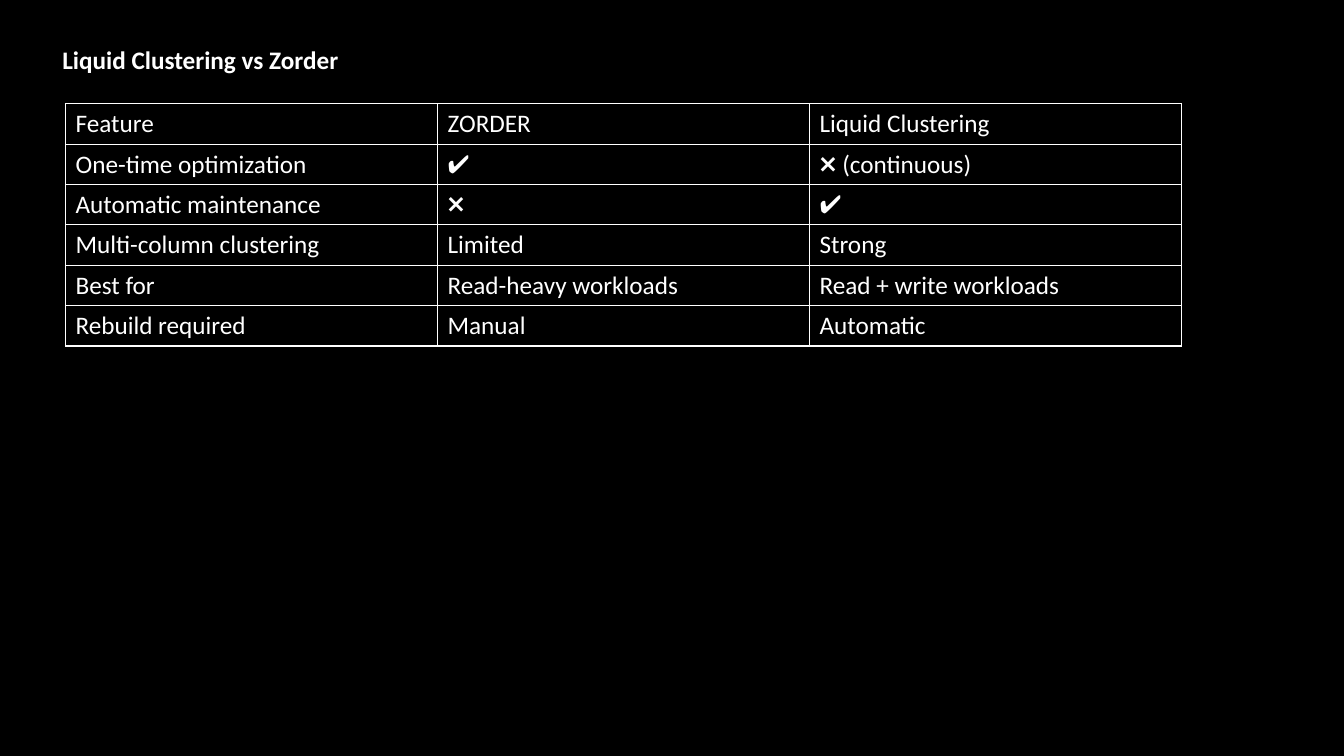
from lxml import etree
from pptx import Presentation
from pptx.dml.color import RGBColor
from pptx.enum.text import MSO_ANCHOR, MSO_AUTO_SIZE
from pptx.oxml import parse_xml
from pptx.oxml.ns import nsdecls
from pptx.util import Inches, Pt

BLACK = RGBColor(0x00, 0x00, 0x00)
WHITE = RGBColor(0xFF, 0xFF, 0xFF)

COMPARISON = [
    ("Feature", "ZORDER", "Liquid Clustering"),
    ("One-time optimization", "✔", "❌ (continuous)"),
    ("Automatic maintenance", "❌", "✔"),
    ("Multi-column clustering", "Limited", "Strong"),
    ("Best for", "Read-heavy workloads", "Read + write workloads"),
    ("Rebuild required", "Manual", "Automatic"),
]


def write_text(text_frame, text, font="Calibri", size=18, color=WHITE, bold=False):
    run = text_frame.paragraphs[0].add_run()
    run.text = text
    run.font.name = font
    run.font.size = Pt(size)
    run.font.color.rgb = color
    run.font.bold = bold


def draw_borders(cell, color=WHITE, width=1):
    properties = cell._tc.get_or_add_tcPr()
    for position, side in enumerate(("lnL", "lnR", "lnT", "lnB")):
        border = parse_xml(
            f'<a:{side} {nsdecls("a")} w="{Pt(width)}"><a:solidFill>'
            f'<a:srgbClr val="{color}"/></a:solidFill></a:{side}>'
        )
        properties.insert(position, border)


class SlideBuilder:
    def __init__(self, slide, background=BLACK):
        self.slide = slide
        self.background = background
        slide.background.fill.solid()
        slide.background.fill.fore_color.rgb = background

    def title(self, text, left, top, width, height):
        box = self.slide.shapes.add_textbox(
            Inches(left), Inches(top), Inches(width), Inches(height))
        box.text_frame.word_wrap = True
        box.text_frame.auto_size = MSO_AUTO_SIZE.SHAPE_TO_FIT_TEXT
        write_text(box.text_frame, text, bold=True)

    def table(self, rows, left, top, column_width, row_height):
        column_count = len(rows[0])
        table = self.slide.shapes.add_table(
            len(rows), column_count, Inches(left), Inches(top),
            Inches(column_width * column_count), Inches(row_height * len(rows))).table
        table.first_row = False
        table.horz_banding = False
        for row_index, row in enumerate(rows):
            for column_index, text in enumerate(row):
                cell = table.cell(row_index, column_index)
                cell.fill.solid()
                cell.fill.fore_color.rgb = self.background
                cell.vertical_anchor = MSO_ANCHOR.MIDDLE
                draw_borders(cell)
                write_text(cell.text_frame, text)


def main():
    presentation = Presentation()
    presentation.slide_width = Inches(13.33)
    presentation.slide_height = Inches(7.5)
    builder = SlideBuilder(presentation.slides.add_slide(presentation.slide_layouts[6]))
    builder.title("Liquid Clustering vs Zorder", 0.52, 0.39, 6.67, 0.4)
    builder.table(COMPARISON, 0.65, 1.03, column_width=3.69, row_height=0.4)
    presentation.save("out.pptx")


if __name__ == "__main__":
    main()
